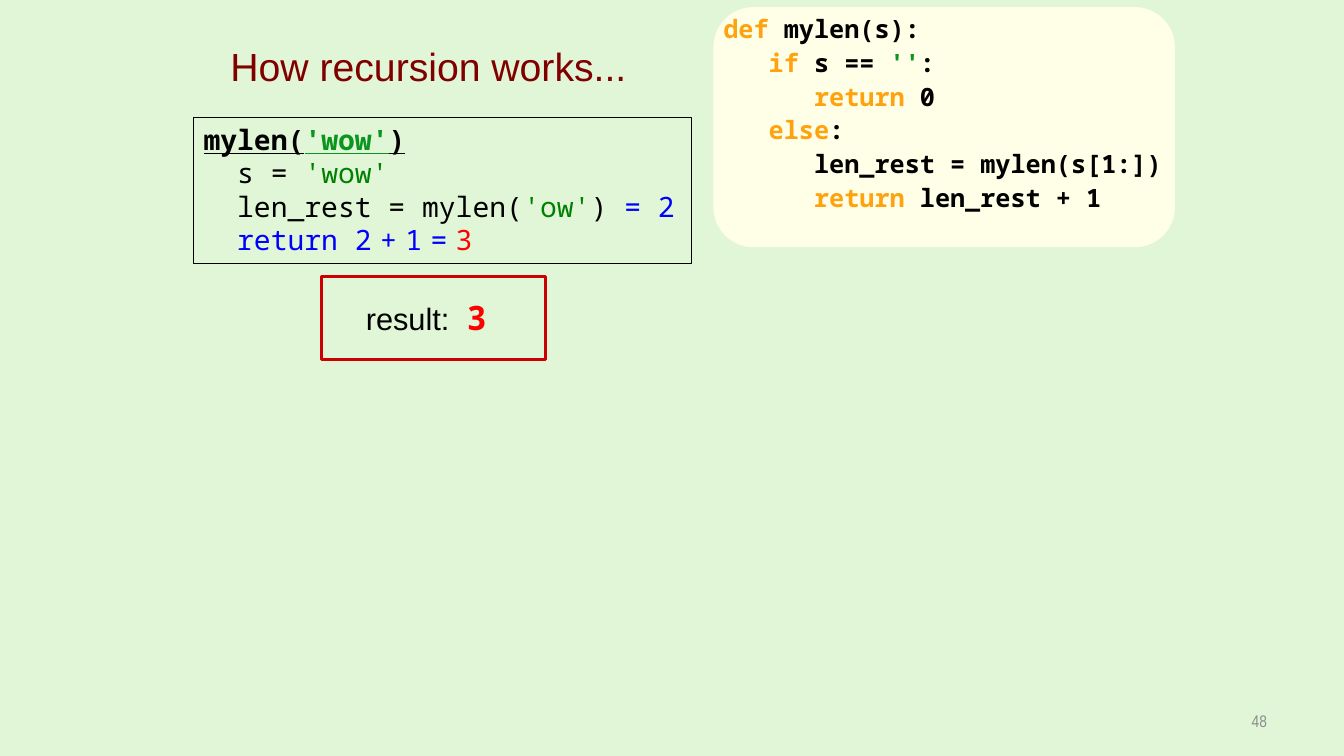
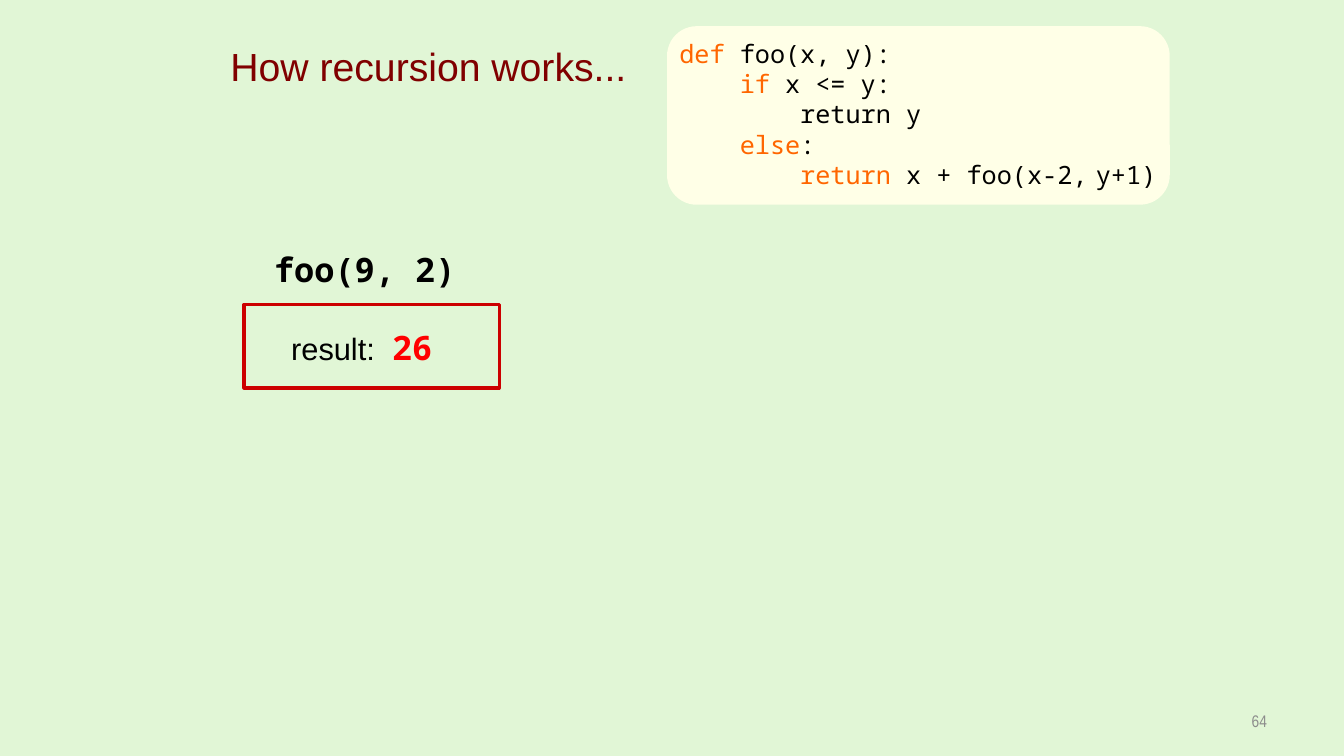
from lxml import etree
from pptx import Presentation
from pptx.dml.color import RGBColor
from pptx.enum.shapes import MSO_SHAPE
from pptx.enum.text import MSO_ANCHOR, PP_ALIGN
from pptx.oxml.ns import qn
from pptx.util import Cm, Pt

RECT, ROUND = MSO_SHAPE.RECTANGLE, MSO_SHAPE.ROUNDED_RECTANGLE
TOP, MIDDLE = MSO_ANCHOR.TOP, MSO_ANCHOR.MIDDLE
LEFT, CENTER, RIGHT = PP_ALIGN.LEFT, PP_ALIGN.CENTER, PP_ALIGN.RIGHT

PAGE, CREAM, MAROON, FRAME = "E1F6D6", "FFFFE7", "800000", "CC0000"
BLACK, GRAY, RED, BLUE = "000000", "8C8C8C", "FF0000", "0000FF"
GOLD, ORANGE, GREEN, LEAF = "FEA30F", "FF6600", "0B9520", "008000"
MONO, SANS, NARROW = "Noto Sans Mono", "Arial", "Arial Narrow"
CHAR = 0.6  # width of a mono character, in ems

TITLE = "How recursion works..."
TITLE_BOX = (5.08, 1.63, 11.43, 0.86)
NUMBER_BOX = (24.28, 17.65, 7.9, 1.02)
THIN = (" ", BLUE, 10)

# A line is (indent in characters, runs); a run is (text, colour[, size]).
# Boxes are left, top, width, height in centimetres.
SLIDES = [
    dict(
        number="48",
        panel=(17.98, 0.18, 11.63, 6.05),
        code_box=(17.98, 0.36, 11.63, 5.87),
        code_format=dict(bold=True, spacing=0.8, before=6.8),
        code=[
            (0, [("def ", GOLD), ("mylen(s):", BLACK)]),
            (3, [("if ", GOLD), ("s == ", BLACK), ("''", GREEN), (":", BLACK)]),
            (6, [("return ", GOLD), ("0", BLACK)]),
            (3, [("else", GOLD), (":", BLACK)]),
            (6, [("len_rest = mylen(s[1:])", BLACK)]),
            (6, [("return ", GOLD), ("len_rest + 1", BLACK)]),
        ],
        call_box=(4.88, 2.95, 12.55, 3.68),
        call_format=dict(size=20, line=BLACK, head=True),
        call=[
            (0, [("mylen(", BLACK), ("'wow'", GREEN), (")", BLACK)]),
            (2, [("s = ", BLACK), ("'wow'", LEAF)]),
            (2, [("len_rest = mylen(", BLACK), ("'ow'", LEAF),
                 (") ", BLACK), ("= 2", BLUE)]),
            (2, [("return 2", BLUE), THIN, ("+", BLUE), THIN, ("1", BLUE),
                 THIN, ("=", BLUE), THIN, ("3", RED)]),
        ],
        result="3", result_box=(8.1, 6.96, 5.64, 2.11),
        inset=(1.12, 0.53), tab=2.82,
    ),
    dict(
        number="64",
        panel=(16.81, 0.66, 12.67, 4.5),
        code_box=(16.87, 0.84, 12.78, 4.11),
        code_format={},
        code=[
            (0, [("def ", ORANGE), ("foo(x, y):", BLACK)]),
            (4, [("if", ORANGE), (" x <= y:", BLACK)]),
            (8, [("return y", BLACK)]),
            (4, [("else", ORANGE), (":", BLACK)]),
            (8, [("return ", ORANGE), ("x + foo(x-2,", BLACK),
                 (" ", BLACK, 10), ("y+1)", BLACK)]),
        ],
        call_box=(6.15, 6.15, 7.82, 1.27),
        call_format=dict(size=24, bold=True),
        call=[(1, [("foo(9, 2)", BLACK)])],
        result="26", result_box=(6.15, 7.67, 6.43, 2.11),
        inset=(1.19, 0.56), tab=2.64,
    ),
]


def rgb(code):
    return RGBColor.from_string(code)


def block(slide, kind, box, fill=None, line=None, width=0.75):
    shape = slide.shapes.add_shape(kind, *map(Cm, box))
    shape.shadow.inherit = False
    if fill:
        shape.fill.solid()
        shape.fill.fore_color.rgb = rgb(fill)
    else:
        shape.fill.background()
    if line:
        shape.line.color.rgb = rgb(line)
        shape.line.width = Pt(width)
    else:
        shape.line.fill.background()
    return shape


def write(slide, box, lines, size=18, font=MONO, bold=False, head=False,
          align=LEFT, anchor=TOP, spacing=None, before=0, tab=None,
          inset=None, line=None, width=0.75):
    """Write lines of runs, framed if line is set; head marks a heading line."""
    if line:
        shape = block(slide, RECT, box, line=line, width=width)
    else:
        shape = slide.shapes.add_textbox(*map(Cm, box))
    frame = shape.text_frame
    frame.word_wrap = True
    frame.vertical_anchor = anchor
    if inset:
        frame.margin_left, frame.margin_top = map(Cm, inset)
    for row, (indent, runs) in enumerate(lines):
        para = frame.paragraphs[0] if row == 0 else frame.add_paragraph()
        para.alignment = align
        para.space_before = Pt(before if row else 0)
        if spacing:
            para.line_spacing = spacing
        props = para._p.get_or_add_pPr()
        props.set("marL", str(Pt(indent * CHAR * size)))
        props.set("indent", "0")
        if tab:
            stops = etree.SubElement(props, qn("a:tabLst"))
            etree.SubElement(stops, qn("a:tab"), pos=str(Cm(tab)), algn="l")
        title = head and row == 0
        for words, color, *other in runs:
            run = para.add_run()
            run.text = words
            run.font.name = font
            run.font.size = Pt(other[0] if other else size)
            run.font.bold = bold or title
            run.font.underline = title
            run.font.color.rgb = rgb(color)
    return shape


def show_result(slide, data):
    label = [(0, [("result:\t", BLACK)])]
    shape = write(slide, data["result_box"], label, size=22, font=SANS,
                  tab=data["tab"], inset=data["inset"], line=FRAME, width=2.25)
    run = shape.text_frame.paragraphs[0].add_run()
    run.text = data["result"]
    run.font.name, run.font.size, run.font.bold = MONO, Pt(24), True
    run.font.color.rgb = rgb(RED)


def build(deck, data):
    slide = deck.slides.add_slide(deck.slide_layouts[6])
    block(slide, ROUND, data["panel"], fill=CREAM)
    write(slide, data["call_box"], data["call"], **data["call_format"])
    write(slide, TITLE_BOX, [(0, [(TITLE, MAROON)])], size=28, font=SANS,
          align=CENTER, spacing=Pt(14))
    write(slide, data["code_box"], data["code"], **data["code_format"])
    show_result(slide, data)
    write(slide, NUMBER_BOX, [(0, [(data["number"], GRAY)])], size=12,
          font=NARROW, align=RIGHT, anchor=MIDDLE)


def main():
    deck = Presentation()
    deck.slide_width, deck.slide_height = Cm(33.87), Cm(19.05)
    back = deck.slide_master.background.fill
    back.solid()
    back.fore_color.rgb = rgb(PAGE)
    for data in SLIDES:
        build(deck, data)
    deck.save("out.pptx")


if __name__ == "__main__":
    main()
